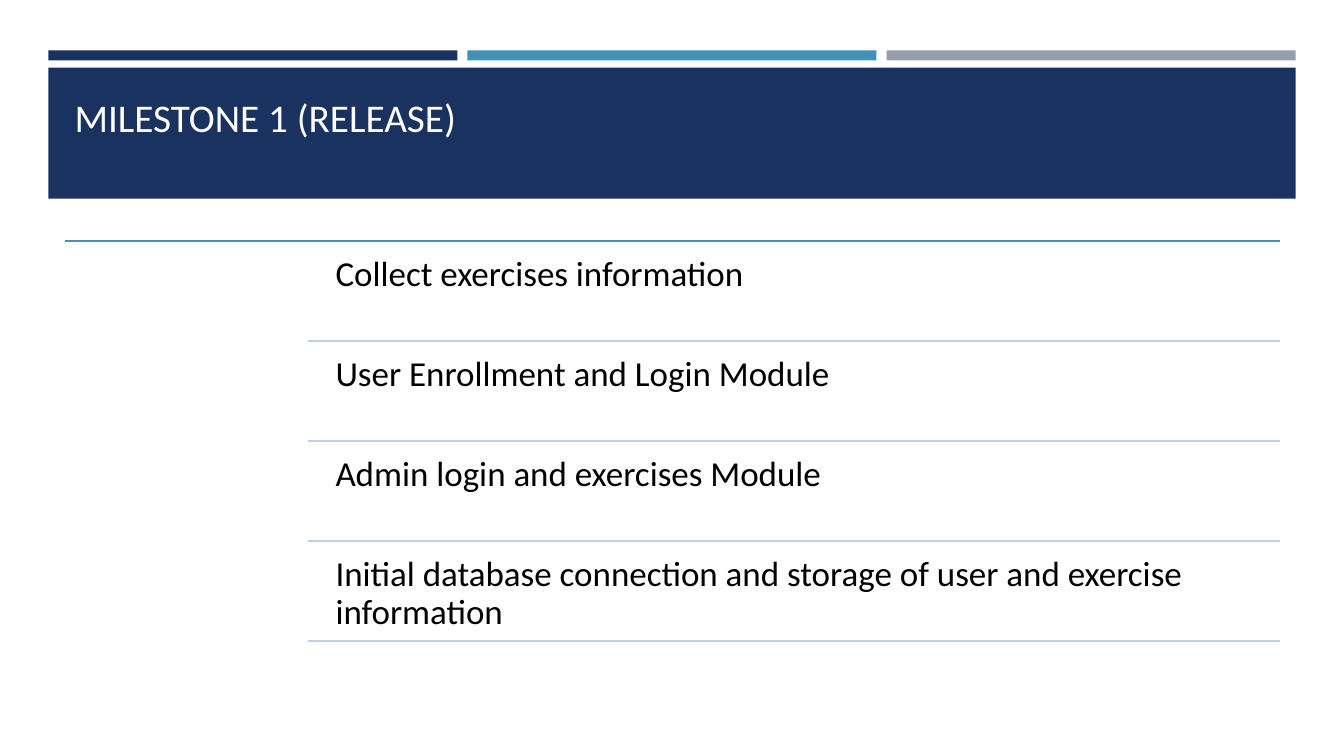
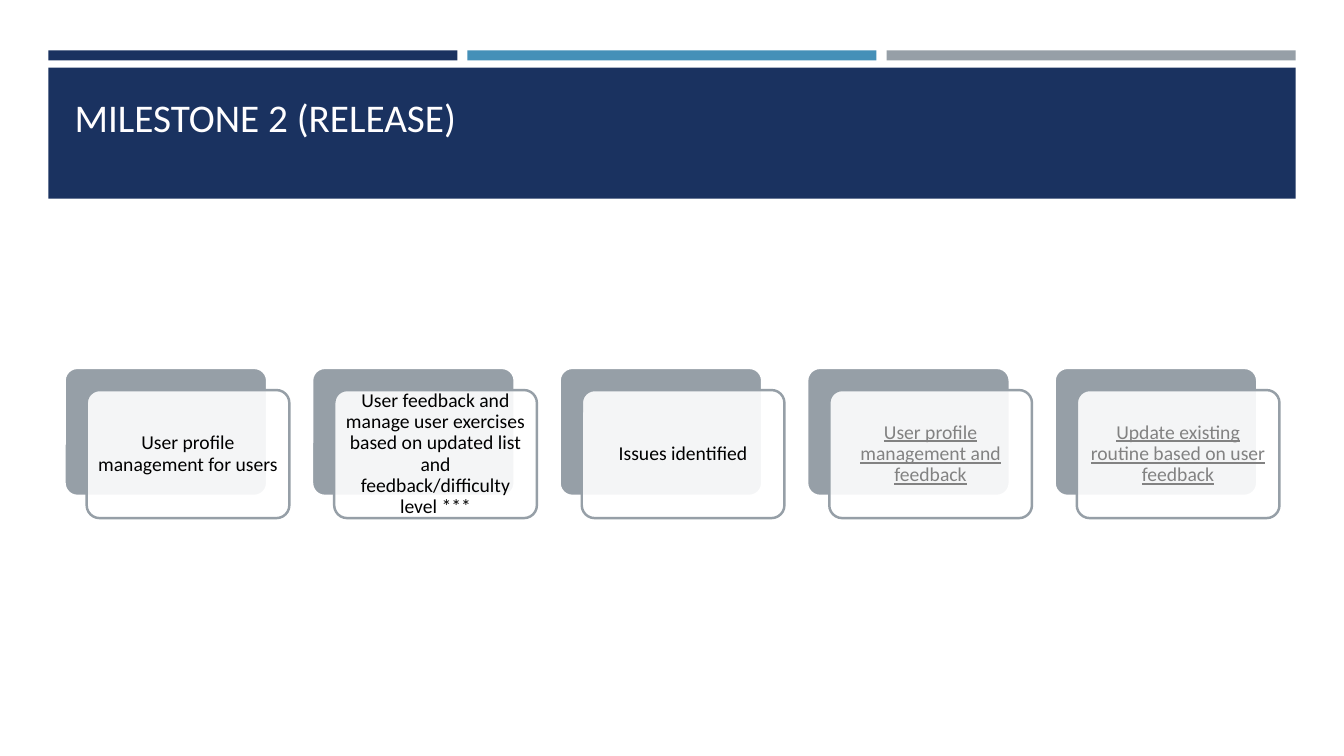
import dataclasses

import lxml.etree
import pptx
import pptx.dml.color
import pptx.enum.shapes
import pptx.enum.text
import pptx.oxml.ns
import pptx.util

Inches = pptx.util.Inches
Shapes = pptx.enum.shapes.MSO_SHAPE
Anchor = pptx.enum.text.MSO_ANCHOR
Align = pptx.enum.text.PP_ALIGN


@dataclasses.dataclass(frozen=True)
class Theme:
    """Colours, font, type sizes and line weight of the deck."""
    navy: str = "1A3260"
    blue: str = "4590B8"
    gray: str = "969FA7"
    pale: str = "C1D1DF"
    white: str = "FFFFFF"
    title_ink: str = "FFFEFF"
    ink: str = "000000"
    muted: str = "828282"
    font: str = "Calibri"
    title_size: int = 28
    list_size: int = 25
    card_size: int = 14
    stroke: float = 1.75


@dataclasses.dataclass(frozen=True)
class Box:
    """A rectangle in inches."""
    left: float
    top: float
    width: float
    height: float

    def lengths(self):
        """Return the four lengths in the order python-pptx takes them."""
        return [Inches(n) for n in (self.left, self.top, self.width, self.height)]


THEME = Theme()
HEADER = Box(0.48, 0.5, 12.37, 1.47)
TITLE = Box(0.64, 0.77, 12.06, 1.11)
LIST = Box(0.64, 2.39, 12.06, 3.97)
CARDS = Box(0.64, 3.65, 12.05, 1.49)

TASKS = [
    "Collect exercises information",
    "User Enrollment and Login Module",
    "Admin login and exercises Module",
    "Initial database connection and storage of user and exercise information",
]
FEATURES = [
    ("User profile management for users", False),
    ("User feedback and manage user exercises based on updated list and "
     "feedback/difficulty level ***", False),
    ("Issues identified", False),
    ("User profile management and feedback", True),
    ("Update existing routine based on user feedback", True),
]


def rgb(code):
    """Turn a hex code into a colour."""
    return pptx.dml.color.RGBColor.from_string(code)


def add_block(page, kind, box, fill, line=None):
    """Add a flat preset shape, outlined if a line colour is given."""
    block = page.shapes.add_shape(kind, *box.lengths())
    block.shadow.inherit = False
    block.fill.solid()
    block.fill.fore_color.rgb = rgb(fill)
    if line:
        block.line.color.rgb = rgb(line)
        block.line.width = pptx.util.Pt(THEME.stroke)
    else:
        block.line.fill.background()
    return block


def add_rule(page, left, right, top, color):
    """Add a horizontal line without a shadow."""
    rule = page.shapes.add_connector(
        pptx.enum.shapes.MSO_CONNECTOR.STRAIGHT,
        Inches(left), Inches(top), Inches(right), Inches(top))
    rule.line.color.rgb = rgb(color)
    rule.line.width = pptx.util.Pt(THEME.stroke)
    lxml.etree.SubElement(rule.element.spPr, pptx.oxml.ns.qn("a:effectLst"))


def write(shape, text, size, color, anchor, align, margin, underline=None):
    """Set and format the single paragraph of a shape."""
    frame = shape.text_frame
    frame.text = text
    frame.word_wrap = True
    frame.auto_size = pptx.enum.text.MSO_AUTO_SIZE.NONE
    frame.vertical_anchor = anchor
    frame.margin_left = frame.margin_right = Inches(margin)
    frame.margin_top = frame.margin_bottom = Inches(margin)
    para = frame.paragraphs[0]
    para.alignment = align
    para.line_spacing = 0.9
    font = para.runs[0].font
    font.name = THEME.font
    font.size = pptx.util.Pt(size)
    font.color.rgb = rgb(color)
    font.underline = underline


def add_header(page, layout, box):
    """Build the three bars and the title band, then move them to the layout."""
    gap, bar_height, band_drop = 0.1, 0.1, 0.17
    bar_width = (box.width - 2 * gap) / 3
    blocks = [
        add_block(page, Shapes.RECTANGLE,
                  Box(box.left + i * (bar_width + gap), box.top, bar_width, bar_height),
                  color)
        for i, color in enumerate((THEME.navy, THEME.blue, THEME.gray))
    ]
    band = Box(box.left, box.top + band_drop, box.width, box.height - band_drop)
    blocks.append(add_block(page, Shapes.RECTANGLE, band, THEME.navy))
    for i, block in enumerate(blocks):
        block.element.xpath("./p:nvSpPr/p:cNvPr")[0].set("id", str(100 + i))
        layout.shapes.element.insert(2 + i, block.element)


def add_title(page, text, box):
    """Place the title on the upper line of its band."""
    title = page.shapes.title
    title.left, title.top, title.width, title.height = box.lengths()
    write(title, text, THEME.title_size, THEME.title_ink, Anchor.BOTTOM, Align.LEFT, 0.1)
    title.text_frame.margin_bottom = Inches(0.48)


def add_task_list(page, tasks, box):
    """Stack tasks in equal rows, each closed by a pale rule."""
    right = box.left + box.width
    rule_left, text_left = box.left + 2.41, box.left + 2.59
    row = box.height / len(tasks)
    add_rule(page, box.left, right, box.top, THEME.blue)
    for i, task in enumerate(tasks):
        top = box.top + i * row
        label = page.shapes.add_textbox(
            *Box(text_left, top + 0.05, right - text_left, row - 0.04).lengths())
        write(label, task, THEME.list_size, THEME.ink, Anchor.TOP, Align.LEFT, 0.1)
        add_rule(page, rule_left, right, top + row, THEME.pale)


def add_card(page, text, linked, box):
    """Draw a translucent card over an offset gray one."""
    shift = 0.22
    width, height = box.width - shift, box.height - shift
    back = add_block(page, Shapes.ROUNDED_RECTANGLE,
                     Box(box.left, box.top, width, height), THEME.gray, THEME.white)
    front = add_block(page, Shapes.ROUNDED_RECTANGLE,
                      Box(box.left + shift, box.top + shift, width, height),
                      THEME.white, THEME.gray)
    for card in (back, front):
        card.adjustments[0] = 0.1
    color = front.element.spPr.xpath("./a:solidFill/a:srgbClr")[0]
    lxml.etree.SubElement(color, pptx.oxml.ns.qn("a:alpha")).set("val", "90000")
    write(front, text, THEME.card_size, THEME.muted if linked else THEME.ink,
          Anchor.MIDDLE, Align.CENTER, 0.06, linked or None)


def add_card_row(page, features, box):
    """Spread equal cards across the box."""
    card_width = 2.23
    step = (box.width - card_width) / (len(features) - 1)
    for i, (text, linked) in enumerate(features):
        add_card(page, text, linked,
                 Box(box.left + i * step, box.top, card_width, box.height))


def main():
    """Build and save the deck."""
    deck = pptx.Presentation()
    deck.slide_width, deck.slide_height = Inches(13.33), Inches(7.5)
    layout = deck.slide_layouts.get_by_name("Title Only")
    first, second = (deck.slides.add_slide(layout) for _ in range(2))
    add_header(first, layout, HEADER)
    add_title(first, "MILESTONE 1 (RELEASE)", TITLE)
    add_task_list(first, TASKS, LIST)
    add_title(second, "MILESTONE 2 (RELEASE)", TITLE)
    add_card_row(second, FEATURES, CARDS)
    deck.save("out.pptx")


if __name__ == "__main__":
    main()
